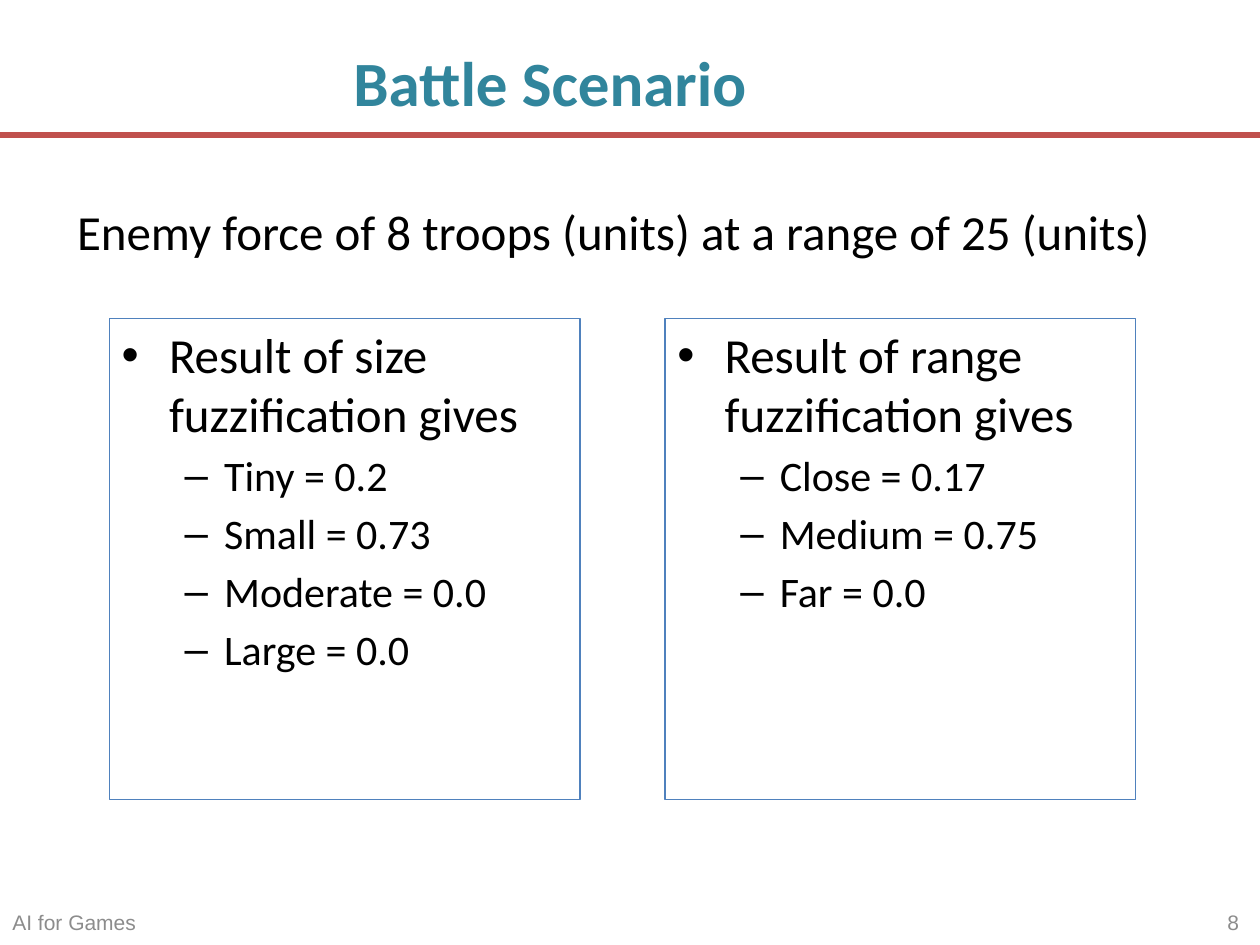
from lxml import etree
from pptx import Presentation
from pptx.dml.color import RGBColor
from pptx.enum.shapes import MSO_CONNECTOR, MSO_SHAPE
from pptx.enum.text import MSO_ANCHOR, PP_ALIGN
from pptx.oxml.ns import qn
from pptx.util import Pt

LEFT, CENTER, RIGHT = PP_ALIGN.LEFT, PP_ALIGN.CENTER, PP_ALIGN.RIGHT
TOP, MIDDLE = MSO_ANCHOR.TOP, MSO_ANCHOR.MIDDLE
COLORS = {"title": "31859C", "rule": "C0504D", "border": "4F81BD",
          "body": "000000", "footer": "8C8C8C"}


def write_text(para, text, size, color="body", font="Calibri", bold=False,
               align=LEFT, bullet=None, margin=0, hanging=0, before=0):
    para.alignment = align
    para.space_before = Pt(before)
    span = para.add_run()
    span.text = text
    span.font.size = Pt(size)
    span.font.name = font
    span.font.bold = bold
    span.font.color.rgb = RGBColor.from_string(COLORS[color])
    if bullet:
        properties = para._p.get_or_add_pPr()
        properties.set("marL", str(Pt(margin)))
        properties.set("indent", str(-Pt(hanging)))
        etree.SubElement(properties, qn("a:buFont")).set("typeface", "Arial")
        etree.SubElement(properties, qn("a:buChar")).set("char", bullet)


deck = Presentation()
deck.slide_width, deck.slide_height = Pt(720), Pt(540)
slide = deck.slides.add_slide(deck.slide_layouts[6])

rule = slide.shapes.add_connector(MSO_CONNECTOR.STRAIGHT, Pt(0), Pt(77), Pt(720), Pt(77))
rule.line.color.rgb = RGBColor.from_string(COLORS["rule"])
rule.line.width = Pt(3.5)
etree.SubElement(rule._element.spPr, qn("a:effectLst"))

footer = {"size": 12, "color": "footer", "font": "Arial"}
labels = [
    ("Battle Scenario", (36, 21.5, 556.5, 50), MIDDLE, True,
     {"size": 36, "color": "title", "bold": True, "align": CENTER}),
    ("Enemy force of 8 troops (units) at a range of 25 (units)",
     (37, 111.5, 634, 41), TOP, False, {"size": 28}),
    ("AI for Games", (0, 513.5, 332, 26.5), MIDDLE, True, footer),
    ("8", (547, 513.5, 168, 26.5), MIDDLE, True, {**footer, "align": RIGHT}),
]
for text, bounds, anchor, wrap, text_format in labels:
    box = slide.shapes.add_textbox(*map(Pt, bounds))
    box.text_frame.word_wrap = wrap
    box.text_frame.vertical_anchor = anchor
    write_text(box.text_frame.paragraphs[0], text, **text_format)

results = [
    ("Result of size fuzzification gives",
     ["Tiny = 0.2", "Small = 0.73", "Moderate = 0.0", "Large = 0.0"]),
    ("Result of range fuzzification gives",
     ["Close = 0.17", "Medium = 0.75", "Far = 0.0"]),
]
for column, (heading, memberships) in enumerate(results):
    panel = slide.shapes.add_shape(MSO_SHAPE.RECTANGLE, Pt(62.5 + 317.5 * column),
                                   Pt(182), Pt(269), Pt(275))
    panel.shadow.inherit = False
    panel.fill.background()
    panel.line.color.rgb = RGBColor.from_string(COLORS["border"])
    panel.line.width = Pt(0.75)
    frame = panel.text_frame
    frame.word_wrap = True
    frame.vertical_anchor = TOP
    write_text(frame.paragraphs[0], heading, size=28, bullet="•",
               margin=27, hanging=27, before=5)
    for membership in memberships:
        para = frame.add_paragraph()
        para.level = 1
        write_text(para, membership, size=24, bullet="–",
                   margin=58.5, hanging=22.5, before=4.25)

deck.save("out.pptx")
